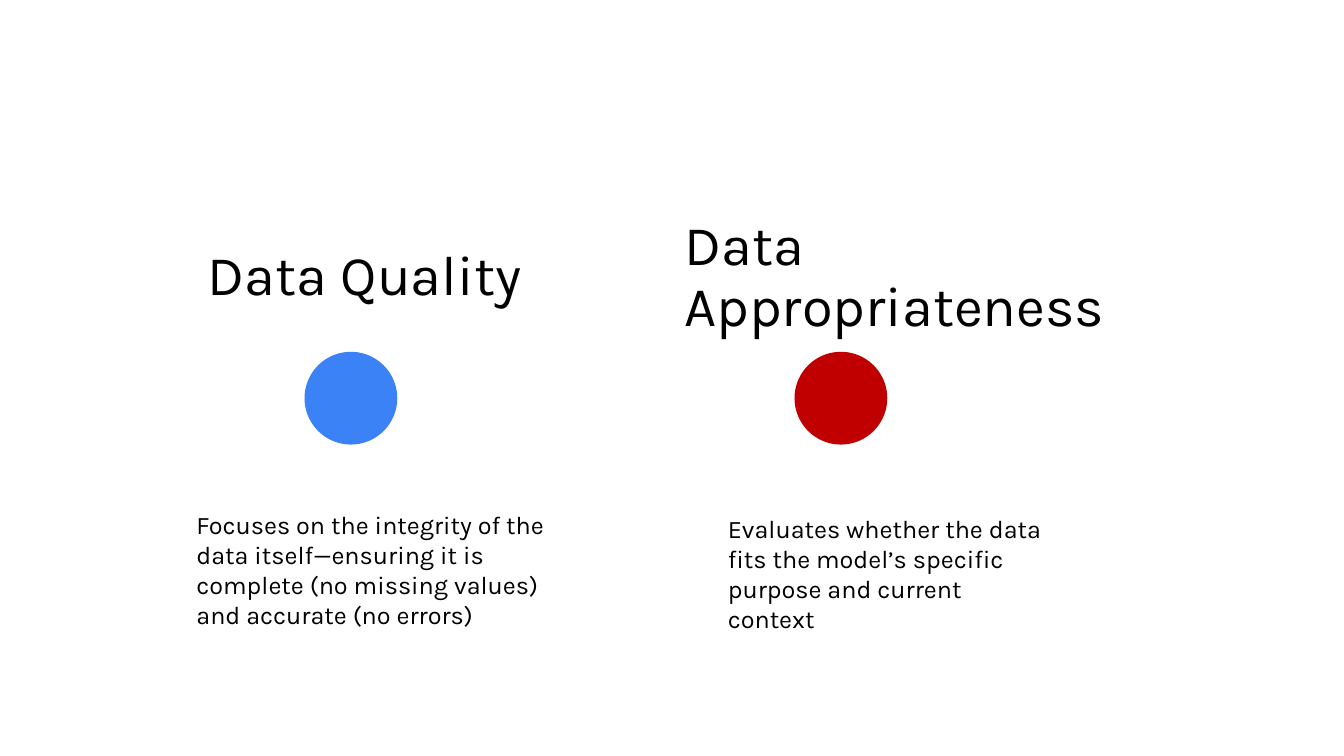
import pptx
import pptx.util
import pptx.dml.color
import pptx.enum.shapes
import pptx.enum.text

Inches = pptx.util.Inches
Anchor = pptx.enum.text.MSO_ANCHOR
Fit = pptx.enum.text.MSO_AUTO_SIZE


def tint(code):
    return pptx.dml.color.RGBColor.from_string(code)


class Deck:
    """Holds the text style and the current slide, and adds elements to it."""

    font = "Karla"
    ink = "000000"

    def __init__(self, slide):
        self.slide = slide

    def fill_in(self, shape, box, text, size, frame, para):
        self.place(shape, box)
        body = shape.text_frame
        body.text = text
        line = body.paragraphs[0]
        line.alignment = pptx.enum.text.PP_ALIGN.LEFT
        face = line.runs[0].font
        style = {"name": self.font, "size": pptx.util.Pt(size)}
        for item, form in ((body, frame), (line, para), (face, style)):
            for key, value in form.items():
                setattr(item, key, value)
        face.color.rgb = tint(self.ink)

    def place(self, shape, box):
        for key, value in zip(("left", "top", "width", "height"), box):
            setattr(shape, key, Inches(value))

    def label(self):
        return self.slide.shapes.add_textbox(0, 0, 0, 0)

    def head(self, shape, box, text):
        frame = {"word_wrap": True, "vertical_anchor": Anchor.MIDDLE,
                 "auto_size": Fit.NONE}
        self.fill_in(shape, box, text, 40, frame, {"line_spacing": 0.9})

    def note(self, box, text):
        frame = {"word_wrap": True, "vertical_anchor": Anchor.TOP,
                 "auto_size": Fit.SHAPE_TO_FIT_TEXT}
        self.fill_in(self.label(), box, text, 18, frame, {})

    def dot(self, left, top, side, color):
        oval = pptx.enum.shapes.MSO_SHAPE.OVAL
        shape = self.slide.shapes.add_shape(
            oval, *map(Inches, (left, top, side, side)))
        shape.shadow.inherit = False
        shape.fill.solid()
        shape.fill.fore_color.rgb = tint(color)
        shape.line.fill.background()


def main():
    show = pptx.Presentation()
    show.slide_width = Inches(13.33)
    show.slide_height = Inches(7.5)
    slide = show.slides.add_slide(show.slide_layouts[5])
    deck = Deck(slide)

    deck.dot(3.02, 3.49, 0.92, "3B82F6")
    deck.head(slide.shapes.title, (1.96, 1.45, 3.67, 2.61), "Data Quality")
    deck.dot(7.88, 3.49, 0.92, "C00000")
    deck.head(deck.label(), (6.69, 1.45, 5.46, 2.61), "Data Appropriateness")
    deck.note((1.85, 5, 3.67, 1.31),
              "Focuses on the integrity of the data itself—ensuring it is "
              "complete (no missing values) and accurate (no errors)")
    deck.note((7.12, 5.04, 3.35, 1.01),
              "Evaluates whether the data fits the model’s specific purpose "
              "and current context")
    show.save("out.pptx")


if __name__ == "__main__":
    main()
